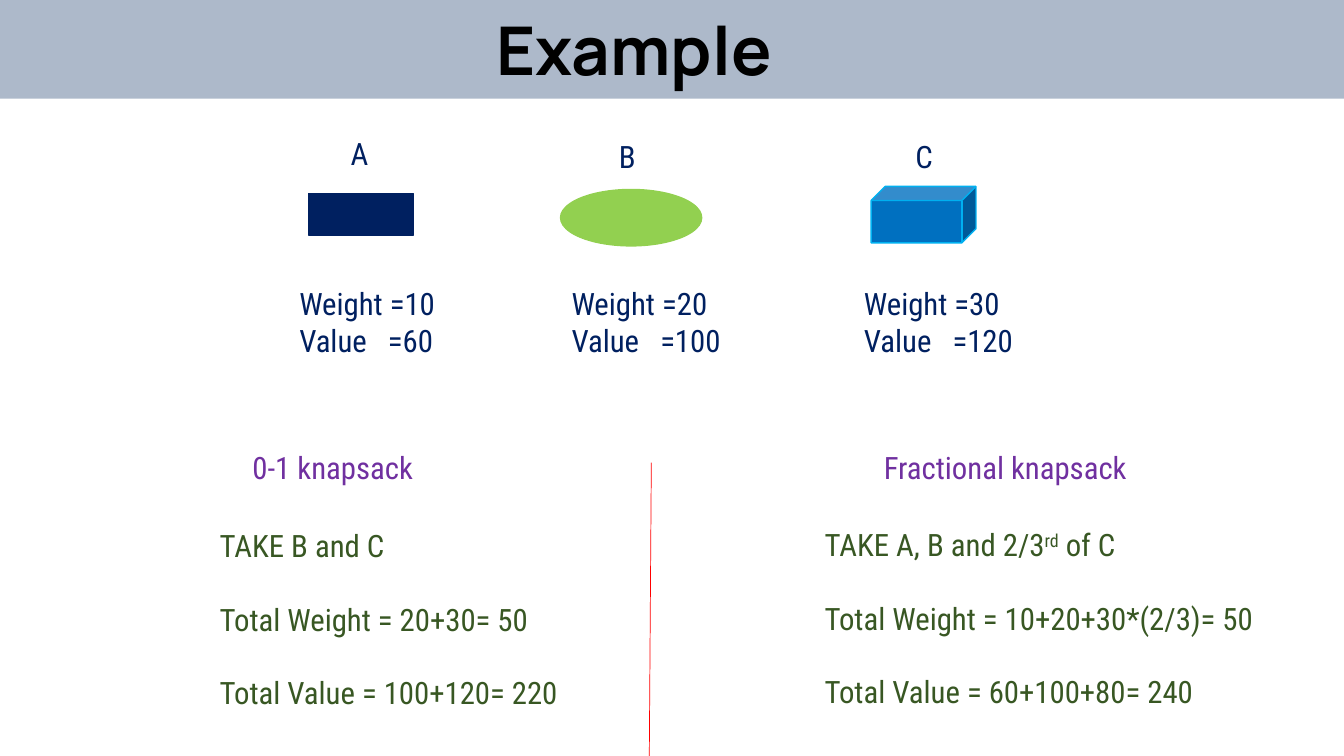
from dataclasses import dataclass

from lxml import etree
from pptx import Presentation
from pptx.dml.color import RGBColor
from pptx.enum.shapes import MSO_CONNECTOR, MSO_SHAPE
from pptx.enum.text import MSO_AUTO_SIZE, PP_ALIGN
from pptx.oxml.ns import qn
from pptx.util import Pt

PX = 9144  # EMU per px, 100 px to the inch
RECT, OVAL, CUBE = MSO_SHAPE.RECTANGLE, MSO_SHAPE.OVAL, MSO_SHAPE.CUBE
STRAIGHT = MSO_CONNECTOR.STRAIGHT
LEFT, CENTER = PP_ALIGN.LEFT, PP_ALIGN.CENTER
FIT = MSO_AUTO_SIZE.SHAPE_TO_FIT_TEXT

Box = tuple[int, int, int, int]


@dataclass(frozen=True)
class Style:
    font: str
    size: int
    color: str
    bold: bool = False


@dataclass(frozen=True)
class Theme:
    title: Style = Style("Manrope", 48, "000000", True)
    item: Style = Style("Roboto Condensed", 22, "002060")
    heading: Style = Style("Roboto Condensed", 22, "7030A0")
    result: Style = Style("Roboto Condensed", 22, "385723")
    banner: str = "ADB9CA"
    divider: str = "FF0000"


@dataclass(frozen=True)
class Run:
    text: str
    raised: bool = False


@dataclass(frozen=True)
class Item:
    name: str
    weight: int
    value: int
    kind: MSO_SHAPE
    fill: str
    line: str
    shape_box: Box
    name_at: tuple[int, int]
    facts_left: int
    facts_width: int


@dataclass(frozen=True)
class Solution:
    heading: str
    heading_left: int
    box: Box
    lines: list[list[Run]]


THEME = Theme()
VALUE_TAB = 88
RESULT_GAP = 26

ITEMS = [
    Item("A", 10, 60, RECT, "002060", "002060", (306, 192, 104, 41), (338, 129), 287, 160),
    Item("B", 20, 100, OVAL, "92D050", "92D050", (556, 188, 140, 56), (604, 132), 557, 172),
    Item("C", 30, 120, CUBE, "0070C0", "00B0F0", (864, 185, 104, 56), (898, 132), 847, 307),
]
SOLUTIONS = [
    Solution("0-1 knapsack", -24, (208, 518, 393, 195), [
        [Run("TAKE B and C")],
        [Run("Total Weight = 20+30= 50")],
        [Run("Total Value = 100+120= 220")],
    ]),
    Solution("Fractional knapsack", 643, (808, 517, 462, 195), [
        [Run("TAKE A, B and 2/3"), Run("rd", raised=True), Run(" of C")],
        [Run("Total Weight = 10+20+30*(2/3)= 50")],
        [Run("Total Value = 60+100+80= 240")],
    ]),
]


def emu(lengths: tuple[int, ...]) -> list[int]:
    return [n * PX for n in lengths]


def rgb(color: str) -> RGBColor:
    return RGBColor.from_string(color)


def add_text(shapes, box: Box, lines: list[list[Run]], style: Style,
             align: PP_ALIGN = LEFT, gap: int = 0, tab: int = 0) -> None:
    """Add one paragraph per line, with gap points between them and a tab stop in px."""
    tf = shapes.add_textbox(*emu(box)).text_frame
    tf.word_wrap = True
    tf.auto_size = FIT
    for i, runs in enumerate(lines):
        p = tf.add_paragraph() if i else tf.paragraphs[0]
        p.alignment = align
        if i and gap:
            p.space_before = Pt(gap)
        if tab:
            tabs = etree.SubElement(p._p.get_or_add_pPr(), qn("a:tabLst"))
            etree.SubElement(tabs, qn("a:tab"), pos=str(tab * PX), algn="l")
        for run in runs:
            r = p.add_run()
            r.text = run.text
            r.font.name = style.font
            r.font.size = Pt(style.size)
            r.font.bold = style.bold
            r.font.color.rgb = rgb(style.color)
            if run.raised:
                r._r.get_or_add_rPr().set("baseline", "30000")


def add_block(shapes, kind: MSO_SHAPE, box: Box, fill: str, line: str = "") -> None:
    sp = shapes.add_shape(kind, *emu(box))
    sp.shadow.inherit = False
    sp.fill.solid()
    sp.fill.fore_color.rgb = rgb(fill)
    if line:
        sp.line.color.rgb = rgb(line)
        sp.line.width = Pt(1)
    else:
        sp.line.fill.background()


def add_divider(shapes) -> None:
    line = shapes.add_connector(STRAIGHT, *emu((646, 459, 644, 750)))
    line.line.color.rgb = rgb(THEME.divider)
    line.line.width = Pt(0.5)
    etree.SubElement(line._element.spPr, qn("a:effectLst"))


def add_item(shapes, item: Item) -> None:
    group = shapes.add_group_shape().shapes
    add_block(group, item.kind, item.shape_box, item.fill, item.line)
    facts = [[Run(f"Weight ={item.weight}")], [Run(f"Value\t={item.value}")]]
    add_text(group, (item.facts_left, 278, item.facts_width, 84), facts,
             THEME.item, tab=VALUE_TAB)
    add_text(group, (*item.name_at, 39, 47), [[Run(item.name)]], THEME.item)


def add_solution(shapes, solution: Solution) -> None:
    add_text(shapes, (solution.heading_left, 440, 708, 47),
             [[Run(solution.heading)]], THEME.heading, CENTER)
    add_text(shapes, solution.box, solution.lines, THEME.result, gap=RESULT_GAP)


def main() -> None:
    prs = Presentation()
    prs.slide_width, prs.slide_height = emu((1333, 750))
    shapes = prs.slides.add_slide(prs.slide_layouts[6]).shapes
    for solution in SOLUTIONS:
        add_solution(shapes, solution)
    add_divider(shapes)
    for item in ITEMS:
        add_item(shapes, item)
    add_block(shapes, RECT, (0, 0, 1333, 98), THEME.banner)
    add_text(shapes, (140, 3, 978, 91), [[Run("Example")]], THEME.title, CENTER)
    prs.save("out.pptx")


if __name__ == "__main__":
    main()
